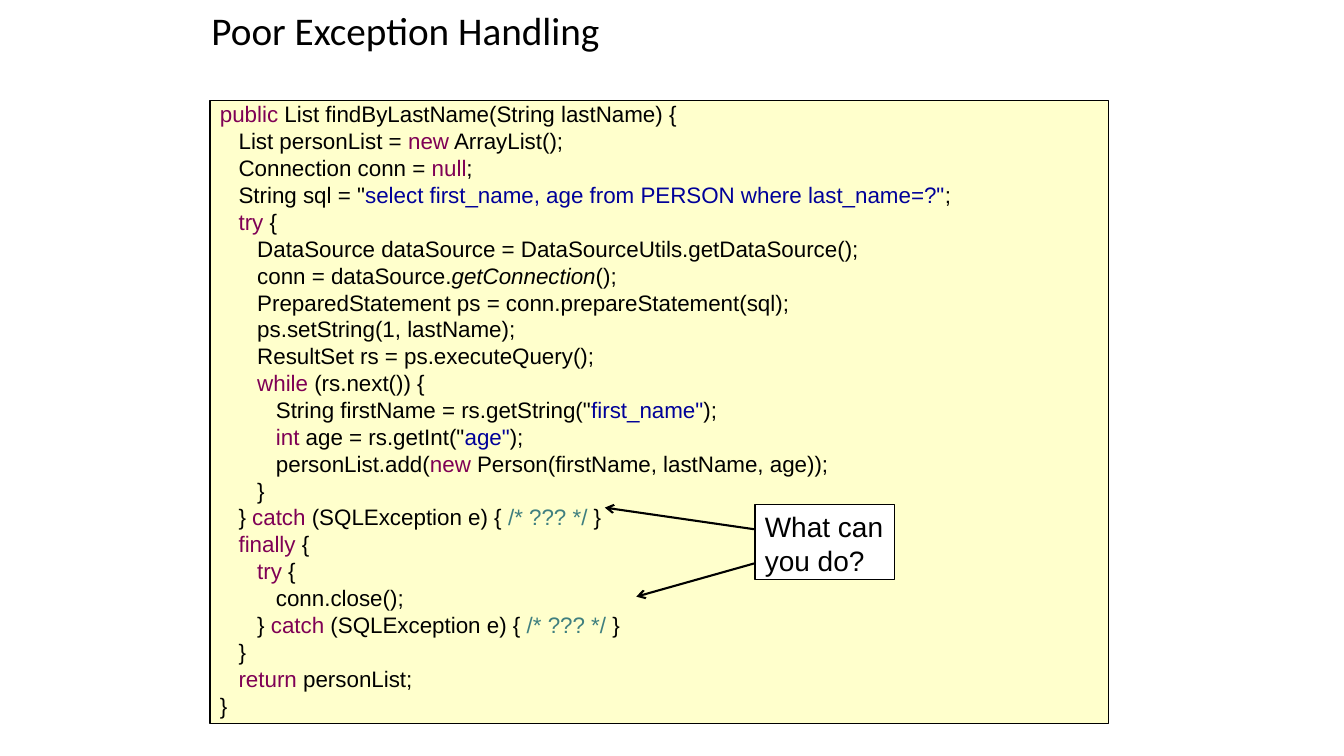
from dataclasses import dataclass
from functools import partial

from lxml import etree
from pptx import Presentation
from pptx import util as u
from pptx.dml.color import RGBColor
from pptx.enum import shapes, text
from pptx.oxml import ns

Pt = u.Pt


@dataclass(frozen=True)
class Theme:
    ink: str = "000000"
    paper: str = "FFFFFF"
    code_fill: str = "FFFFCC"
    keyword: str = "7F0055"
    string: str = "000099"
    comment: str = "3F7F7F"
    title_font: str = "Calibri"
    body_font: str = "Arial"
    title_size: float = 28
    code_size: float = 16
    callout_size: float = 20
    outline: float = 1
    arrow: float = 1.5
    indent: float = 13.34


THEME = Theme()


@dataclass(frozen=True)
class Token:
    words: str
    color: str = THEME.ink
    italic: bool = False


kw = partial(Token, color=THEME.keyword)
quoted = partial(Token, color=THEME.string)
remark = partial(Token, color=THEME.comment)
call = partial(Token, italic=True)

# Each line of code: nesting level, then its tokens; bare strings are plain code.
CODE = [
    (0, kw("public"), " List findByLastName(String lastName) {"),
    (1, "List personList = ", kw("new"), " ArrayList();"),
    (1, "Connection conn = ", kw("null"), ";"),
    (1, 'String sql = "',
     quoted('select first_name, age from PERSON where last_name=?"'), ";"),
    (1, kw("try"), " {"),
    (2, "DataSource dataSource = DataSourceUtils.getDataSource();"),
    (2, "conn = dataSource.", call("getConnection"), "();"),
    (2, "PreparedStatement ps = conn.prepareStatement(sql);"),
    (2, "ps.setString(1, lastName);"),
    (2, "ResultSet rs = ps.executeQuery();"),
    (2, kw("while"), " (rs.next()) {"),
    (3, 'String firstName = rs.getString("', quoted('first_name"'), ");"),
    (3, kw("int"), ' age = rs.getInt("', quoted('age"'), ");"),
    (3, "personList.add(", kw("new"), " Person(firstName, lastName, age));"),
    (2, "}"),
    (1, "}", kw(" catch"), " (SQLException e) { ", remark("/* ??? */"), " }"),
    (1, kw("finally "), "{"),
    (2, kw("try"), " {"),
    (3, "conn.close();"),
    (2, "} ", kw("catch"), " (SQLException e) { ", remark("/* ??? */"), " }"),
    (1, "}"),
    (1, kw("return"), " personList;"),
    (0, "}"),
]


def rgb(color):
    return RGBColor.from_string(color)


def add_token(paragraph, token, size, font=THEME.body_font):
    if isinstance(token, str):
        token = Token(token)
    run = paragraph.add_run()
    run.text = token.words
    run.font.name, run.font.size = font, Pt(size)
    run.font.color.rgb = rgb(token.color)
    if token.italic:
        run.font.italic = True


def each_paragraph(frame, lines):
    """Pair every line with a left-aligned paragraph of the frame."""
    for number, line in enumerate(lines):
        paragraph = frame.add_paragraph() if number else frame.paragraphs[0]
        paragraph.alignment = text.PP_ALIGN.LEFT
        yield paragraph, line


def add_panel(slide, left, top, width, height, fill):
    """Add an outlined rectangle and return its top-anchored text frame."""
    panel = slide.shapes.add_shape(shapes.MSO_SHAPE.RECTANGLE,
                                   Pt(left), Pt(top), Pt(width), Pt(height))
    panel.shadow.inherit = False
    panel.fill.solid()
    panel.fill.fore_color.rgb = rgb(fill)
    panel.line.color.rgb = rgb(THEME.ink)
    panel.line.width = Pt(THEME.outline)
    panel.text_frame.vertical_anchor = text.MSO_ANCHOR.TOP
    return panel.text_frame


def add_title(slide, words):
    title = slide.shapes.add_textbox(Pt(144), Pt(4.3), Pt(612), Pt(38.2))
    frame = title.text_frame
    frame.word_wrap = True
    frame.vertical_anchor = text.MSO_ANCHOR.MIDDLE
    heading = frame.paragraphs[0]
    heading.line_spacing = 0.9
    add_token(heading, words, THEME.title_size, THEME.title_font)


def add_code(slide):
    frame = add_panel(slide, 150, 72, 642, 445, THEME.code_fill)
    frame.word_wrap = True
    for paragraph, (level, *tokens) in each_paragraph(frame, CODE):
        paragraph.line_spacing = 0.8
        paragraph.space_before = Pt(3.84)
        margin = Pt(level * THEME.indent)
        paragraph._p.get_or_add_pPr().set("marL", str(int(margin)))
        for token in tokens:
            add_token(paragraph, token, THEME.code_size)


def add_callout(slide, lines):
    frame = add_panel(slide, 539.2, 360.4, 99.6, 53.6, THEME.paper)
    frame.word_wrap = False
    for paragraph, line in each_paragraph(frame, lines):
        add_token(paragraph, line, THEME.callout_size)


def add_arrow(slide, x1, y1, x2, y2):
    arrow = slide.shapes.add_connector(shapes.MSO_CONNECTOR.STRAIGHT,
                                       Pt(x1), Pt(y1), Pt(x2), Pt(y2))
    arrow.line.color.rgb = rgb(THEME.ink)
    arrow.line.width = Pt(THEME.arrow)
    outline = arrow.line._get_or_add_ln()
    etree.SubElement(outline, ns.qn("a:tailEnd"), type="arrow")
    etree.SubElement(arrow._element.spPr, ns.qn("a:effectLst"))


def main():
    deck = Presentation()
    deck.slide_width, deck.slide_height = Pt(960), Pt(540)
    slide = deck.slides.add_slide(deck.slide_layouts[6])
    add_code(slide)
    add_title(slide, "Poor Exception Handling")
    add_arrow(slide, 538.6, 378, 432, 362.6)
    add_arrow(slide, 538.6, 402.5, 454.5, 426.2)
    add_callout(slide, ["What can", "you do?"])
    deck.save("out.pptx")


if __name__ == "__main__":
    main()
